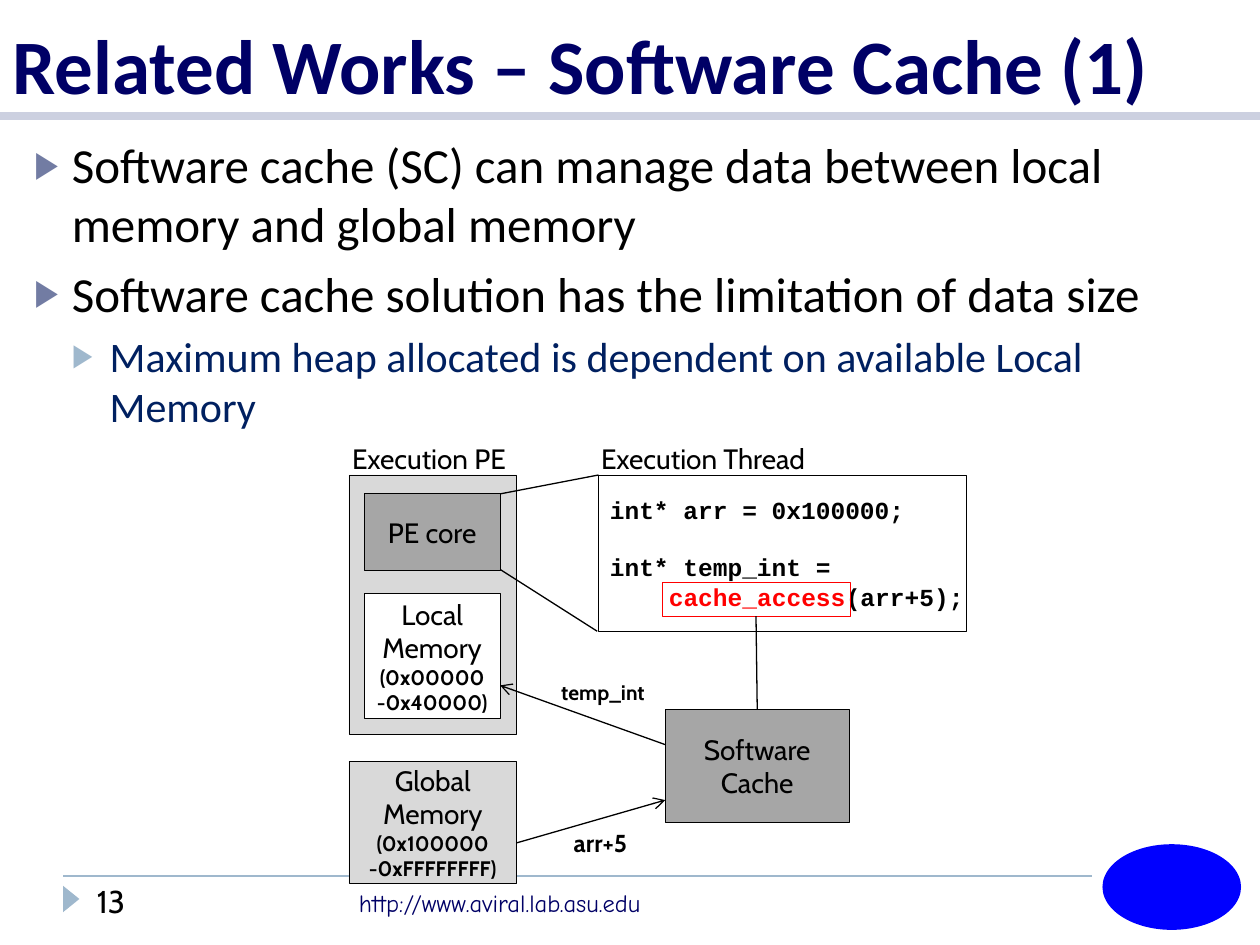
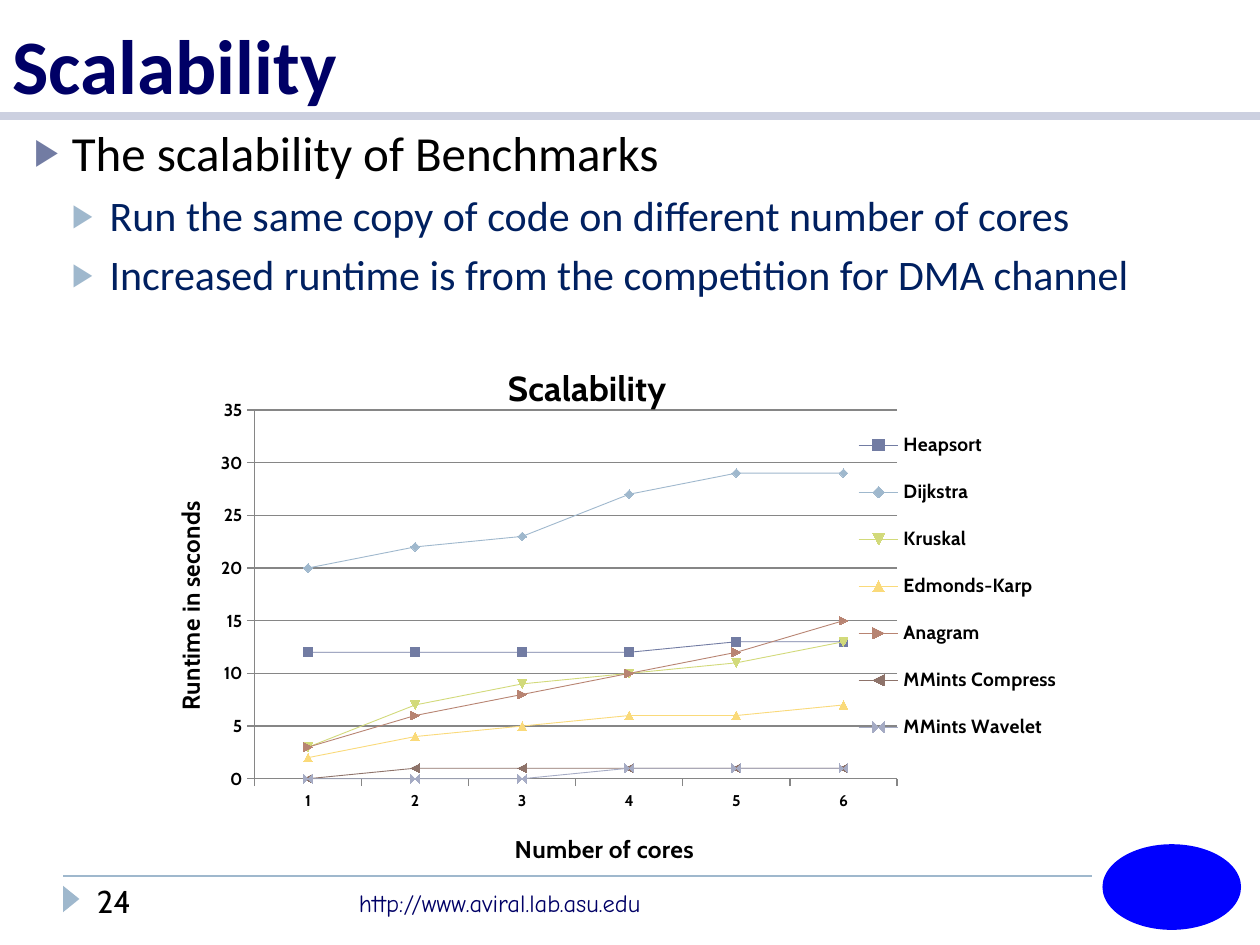
from dataclasses import dataclass

from lxml.etree import SubElement
from pptx import Presentation
from pptx.chart.data import CategoryChartData
from pptx.dml.color import RGBColor
from pptx.enum.chart import XL_CHART_TYPE, XL_LEGEND_POSITION as LegendPos, XL_TICK_MARK as Tick
from pptx.enum.shapes import MSO_CONNECTOR, MSO_SHAPE as Shape
from pptx.enum.text import MSO_ANCHOR as Anchor, MSO_AUTO_SIZE as AutoSize, PP_ALIGN as Align
from pptx.oxml.ns import qn
from pptx.util import Inches, Pt

# Palette and fonts
BLACK = RGBColor(0x00, 0x00, 0x00)
WHITE = RGBColor(0xFF, 0xFF, 0xFF)
RED = RGBColor(0xFF, 0x00, 0x00)
BLUE = RGBColor(0x00, 0x00, 0xFF)
NAVY = RGBColor(0x00, 0x00, 0x66)
INDIGO = RGBColor(0x00, 0x20, 0x60)
SLATE = RGBColor(0x72, 0x7C, 0xA3)
SKY = RGBColor(0x9F, 0xB8, 0xCD)
BAND = RGBColor(0xCC, 0xD0, 0xE0)
LIGHT_GRAY = RGBColor(0xD9, 0xD9, 0xD9)
MID_GRAY = RGBColor(0xA6, 0xA6, 0xA6)
AXIS_GRAY = RGBColor(0x86, 0x86, 0x86)
LABEL, HEADING, CODE, URL = "Cabin", "Calibri", "Courier New", "Comic Neue"


@dataclass(frozen=True)
class Run:
    text: str
    size: float = 16
    bold: bool = False
    color: RGBColor = BLACK
    font: str = LABEL


@dataclass(frozen=True)
class Box:
    at: tuple[float, float, float, float]
    paragraphs: tuple[tuple[Run, ...], ...] = ()
    fill: RGBColor | None = None
    line: RGBColor | None = None
    inset: tuple[float, float] = (0, 0)  # left, right
    align: Align = Align.CENTER
    gaps: tuple[float, ...] = ()  # points before each paragraph


@dataclass(frozen=True)
class Line:
    start: tuple[float, float]
    end: tuple[float, float]
    color: RGBColor = BLACK
    width: float = 0.75
    arrow: bool = False


@dataclass(frozen=True)
class Level:
    indent: float
    size: float
    before: float
    color: RGBColor
    bullet: RGBColor


@dataclass(frozen=True)
class Series:
    name: str
    values: tuple[int, ...]
    color: RGBColor


LEVELS = (Level(0.3, 28, 6, BLACK, SLATE), Level(0.6, 24, 5, INDIGO, SKY))


def style(font, *, size: float, bold: bool = False, color: RGBColor = BLACK, name: str = LABEL) -> None:
    font.size, font.bold, font.name = Pt(size), bold, name
    font.color.rgb = color


def write(p, text: str, **fmt) -> None:
    r = p.add_run()
    r.text = text
    style(r.font, **fmt)


def place(sp, at: tuple[float, ...]) -> None:
    sp.left, sp.top, sp.width, sp.height = map(Inches, at)


def add_text(s, at: tuple[float, ...], text: str, **fmt) -> None:
    tf = s.shapes.add_textbox(*map(Inches, at)).text_frame
    tf.word_wrap = True
    write(tf.paragraphs[0], text, **fmt)


def add_plain(s, kind: Shape, at: tuple[float, ...], fill: RGBColor | None, line: RGBColor | None = None):
    sp = s.shapes.add_shape(kind, *map(Inches, at))
    sp.shadow.inherit = False
    if fill is None:
        sp.fill.background()
    else:
        sp.fill.solid()
        sp.fill.fore_color.rgb = fill
    if line is None:
        sp.line.fill.background()
    else:
        sp.line.color.rgb = line
        sp.line.width = Pt(0.5)
    return sp


def add_box(s, box: Box) -> None:
    sp = add_plain(s, Shape.RECTANGLE, box.at, box.fill, box.line)
    tf = sp.text_frame
    tf.word_wrap = True
    tf.vertical_anchor = Anchor.MIDDLE
    tf.margin_left, tf.margin_right = map(Inches, box.inset)
    tf.margin_top = tf.margin_bottom = 0
    for i, runs in enumerate(box.paragraphs):
        p = tf.add_paragraph() if i else tf.paragraphs[0]
        p.alignment = box.align
        if box.gaps and box.gaps[i]:
            p.space_before = Pt(box.gaps[i])
        for run in runs:
            write(p, run.text, size=run.size, bold=run.bold, color=run.color, name=run.font)


def add_line(s, line: Line) -> None:
    sp = s.shapes.add_connector(MSO_CONNECTOR.STRAIGHT, *map(Inches, line.start + line.end))
    sp.line.color.rgb = line.color
    sp.line.width = Pt(line.width)
    props = sp._element.spPr
    if line.arrow:
        SubElement(props.find(qn("a:ln")), qn("a:tailEnd"), type="arrow")
    SubElement(props, qn("a:effectLst"))


def add_bullet(p, level: Level) -> None:
    props = p._p.get_or_add_pPr()
    props.set("marL", str(Inches(level.indent)))
    props.set("indent", str(-Inches(0.3)))
    color = SubElement(props, qn("a:buClr"))
    SubElement(color, qn("a:srgbClr"), val=str(level.bullet))
    SubElement(props, qn("a:buSzPct"), val="76000")
    SubElement(props, qn("a:buChar"), char="▶")


def new_slide(prs, title: str, number: int, body_at: tuple[float, ...], items: list[tuple[int, str]]):
    s = prs.slides.add_slide(prs.slide_layouts[1])

    # Rules, page marker, web address and lab emblem
    add_line(s, Line((0.5, 6.95), (8.67, 6.95), SKY, 1))
    add_line(s, Line((0, 0.92), (10, 0.92), BAND, 5))
    add_plain(s, Shape.ISOSCELES_TRIANGLE, (0.46, 7.07, 0.21, 0.13), SKY).rotation = 90
    add_text(s, (2.75, 7, 2.92, 0.34), "http://www.aviral.lab.asu.edu", size=14, color=NAVY, name=URL)
    add_text(s, (0.67, 6.95, 1.41, 0.4), str(number), size=18)
    add_plain(s, Shape.OVAL, (8.75, 6.7, 1.1, 0.68), BLUE)

    # Title
    place(s.shapes.title, (0, 0, 10, 0.92))
    tf = s.shapes.title.text_frame
    tf.auto_size = AutoSize.NONE
    tf.vertical_anchor = Anchor.BOTTOM
    tf.paragraphs[0].alignment = Align.LEFT
    write(tf.paragraphs[0], title, size=44, bold=True, color=NAVY, name=HEADING)

    # Bulleted list
    body = s.placeholders[1]
    place(body, body_at)
    tf = body.text_frame
    tf.auto_size = AutoSize.NONE
    for i, (depth, text) in enumerate(items):
        p = tf.add_paragraph() if i else tf.paragraphs[0]
        level = LEVELS[depth]
        p.level = depth
        add_bullet(p, level)
        p.space_before = Pt(level.before if i else 0)
        write(p, text, size=level.size, color=level.color, name=HEADING)
    return s


def code(text: str, color: RGBColor = BLACK) -> Run:
    return Run(text, 14, True, color, CODE)


def software_cache_slide(prs) -> None:
    s = new_slide(prs, "Related Works – Software Cache (1)", 13, (0.17, 1.02, 9.67, 2.45), [
        (0, "Software cache (SC) can manage data between local memory and global memory"),
        (0, "Software cache solution has the limitation of data size"),
        (1, "Maximum heap allocated is dependent on available Local Memory"),
    ])
    boxes = (
        # Processing element and memories
        Box((2.77, 3.77, 1.33, 2.06), fill=LIGHT_GRAY, line=BLACK),
        Box((2.89, 3.92, 1.08, 0.61), ((Run("PE core"),),), MID_GRAY, BLACK),
        Box((2.89, 4.71, 1.08, 0.99), ((Run("Local Memory"),), (Run("(0x00000 -0x40000)", 12, True),)),
            WHITE, BLACK, (0.06, 0.06)),
        Box((2.77, 6.04, 1.33, 0.97), ((Run("Global Memory "), Run("(0x100000 -0xFFFFFFFF)", 12, True)),),
            LIGHT_GRAY, BLACK),
        # Thread code, with the cache call framed
        Box((4.75, 3.77, 2.92, 1.24), (
            (code("int* arr = 0x100000;"),),
            (code("int* temp_int ="),),
            (code("    "), code("cache_access", RED), code("(arr+5);")),
        ), WHITE, BLACK, (0.09, 0), Align.LEFT, (0, 16, 0)),
        Box((5.26, 4.62, 1.49, 0.27), line=RED),
        Box((5.28, 5.63, 1.46, 0.9), ((Run("Software Cache"),),), MID_GRAY, BLACK, (0.23, 0.23)),
        # Captions
        Box((2.74, 3.5, 1.33, 0.27), ((Run("Execution PE"),),)),
        Box((4.62, 3.5, 1.92, 0.27), ((Run("Execution Thread"),),)),
        Box((4.27, 6.57, 0.99, 0.24), ((Run("arr+5", 14, True),),)),
        Box((4.29, 5.39, 0.99, 0.2), ((Run("temp_int", 12, True),),)),
    )
    for box in boxes:
        add_box(s, box)

    links = (
        Line((3.97, 3.92), (4.75, 3.77)),
        Line((3.97, 4.52), (4.74, 5.01)),
        Line((4.1, 6.69), (5.28, 6.35), arrow=True),
        Line((5.28, 5.91), (3.97, 5.44), arrow=True),
        Line((6, 4.89), (6.01, 5.63)),
    )
    for link in links:
        add_line(s, link)


CHART_AT = (1.17, 2.75, 7.42, 4.17)
RUNTIMES = (
    Series("Heapsort", (12, 12, 12, 12, 13, 13), SLATE),
    Series("Dijkstra", (20, 22, 23, 27, 29, 29), SKY),
    Series("Kruskal", (3, 7, 9, 10, 11, 13), RGBColor(0xD2, 0xDA, 0x7A)),
    Series("Edmonds-Karp", (2, 4, 5, 6, 6, 7), RGBColor(0xFA, 0xDA, 0x7A)),
    Series("Anagram", (3, 6, 8, 10, 12, 15), RGBColor(0xB8, 0x84, 0x72)),
    Series("MMints Compress", (0, 1, 1, 1, 1, 1), RGBColor(0x8E, 0x73, 0x6A)),
    Series("MMints Wavelet", (0, 0, 0, 1, 1, 1), RGBColor(0xA5, 0xAB, 0xC4)),
)


def set_layout(parent, after: str, frame: tuple[float, ...], inner: bool = False) -> None:
    """Fix a chart part at left, top (and width, height), in inches within the chart."""
    for old in parent.findall(qn("c:layout")):
        parent.remove(old)
    layout = SubElement(parent, qn("c:layout"))
    manual = SubElement(layout, qn("c:manualLayout"))
    if inner:
        SubElement(manual, qn("c:layoutTarget"), val="inner")
    for side in "xy":
        SubElement(manual, qn(f"c:{side}Mode"), val="edge")
    for side, length, whole in zip("xywh", frame, CHART_AT[2:] * 2):
        SubElement(manual, qn(f"c:{side}"), val=str(length / whole))
    previous = parent.find(qn(after)) if after else None
    parent.insert(0 if previous is None else parent.index(previous) + 1, layout)


def set_title(title, text: str, size: float, corner: tuple[float, float]) -> None:
    write(title.text_frame.paragraphs[0], text, size=size, bold=True)
    set_layout(title._element, "c:tx", corner)


def scalability_slide(prs) -> None:
    s = new_slide(prs, "Scalability", 24, (0.17, 0.92, 9.59, 1.67), [
        (0, "The scalability of Benchmarks"),
        (1, "Run the same copy of code on different number of cores"),
        (1, "Increased runtime is from the competition for DMA channel"),
    ])
    data = CategoryChartData(number_format="0")
    data.categories = [str(cores) for cores in range(1, 7)]
    for row in RUNTIMES:
        data.add_series(row.name, row.values)
    chart = s.shapes.add_chart(XL_CHART_TYPE.LINE_MARKERS, *map(Inches, CHART_AT), data).chart
    style(chart.font, size=10)
    set_title(chart.chart_title, "Scalability", 20, (2.81, 0.09))

    # Axes
    cores, runtime = chart.category_axis, chart.value_axis
    set_title(cores.axis_title, "Number of cores", 14, (2.88, 3.86))
    set_title(runtime.axis_title, "Runtime in seconds", 14, (0.17, 1.22))
    for axis, size in ((cores, 9), (runtime, 10)):
        axis.major_tick_mark = Tick.OUTSIDE
        axis.format.line.color.rgb = AXIS_GRAY
        style(axis.tick_labels.font, size=size, bold=True)
    runtime.minimum_scale, runtime.maximum_scale, runtime.major_unit = 0, 35, 5
    runtime.major_gridlines.format.line.color.rgb = AXIS_GRAY

    # Series
    for series, row in zip(chart.plots[0].series, RUNTIMES):
        series.smooth = False
        series.format.line.color.rgb = row.color
        series.format.line.width = Pt(0.5)
        mark = series.marker.format
        mark.fill.solid()
        mark.fill.fore_color.rgb = mark.line.color.rgb = row.color

    # Legend and plot area
    chart.has_legend = True
    chart.legend.position = LegendPos.RIGHT
    chart.legend.include_in_layout = False
    style(chart.legend.font, size=11, bold=True)
    set_layout(chart.legend._element, "c:legendPos", (5.54, 0.51, 1.78, 2.83))
    set_layout(chart._chartSpace.chart.plotArea, "", (0.85, 0.51, 5.1, 2.96), inner=True)


def main() -> None:
    prs = Presentation()
    prs.slide_width, prs.slide_height = Inches(10), Inches(7.5)
    software_cache_slide(prs)
    scalability_slide(prs)
    prs.save("out.pptx")


if __name__ == "__main__":
    main()
